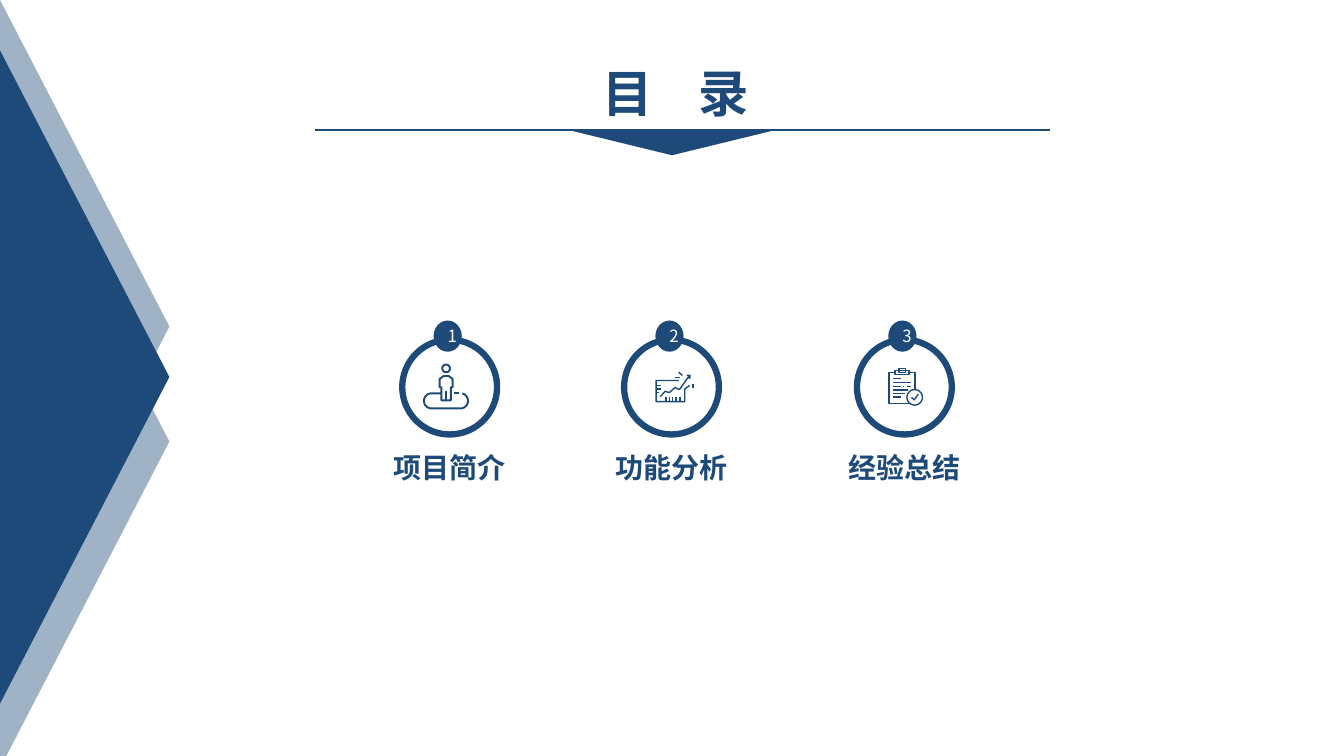
import math

from lxml import etree
from pptx import Presentation
from pptx.dml.color import RGBColor
from pptx.enum.shapes import MSO_CONNECTOR, MSO_SHAPE
from pptx.enum.text import MSO_ANCHOR, MSO_AUTO_SIZE, PP_ALIGN
from pptx.oxml.ns import qn
from pptx.util import Emu, Pt

EMU_PER_PX = 9144  # 100 px to the inch
ICON_UNIT = EMU_PER_PX / 10  # icon strokes use tenths of a px

NAVY = RGBColor(0x1E, 0x4A, 0x7A)
PALE_BLUE = RGBColor(0xA0, 0xB2, 0xC5)
WHITE = RGBColor(0xFF, 0xFF, 0xFF)
FONT = "Noto Sans CJK SC"

TRIANGLE = MSO_SHAPE.ISOSCELES_TRIANGLE
OVAL = MSO_SHAPE.OVAL
STRAIGHT = MSO_CONNECTOR.STRAIGHT
CENTER = PP_ALIGN.CENTER
MIDDLE = MSO_ANCHOR.MIDDLE
FIT_SHAPE = MSO_AUTO_SIZE.SHAPE_TO_FIT_TEXT


def px(length):
    return Emu(length * EMU_PER_PX)


def arc(x, y, radius, start=0, end=360):
    """Points along an arc, in degrees clockwise from the right."""
    steps = 24
    angles = [math.radians(start + (end - start) * i / steps) for i in range(steps + 1)]
    return [(round(x + radius * math.cos(a)), round(y + radius * math.sin(a)))
            for a in angles]


def person_strokes():
    return [
        arc(225, 45, 38),
        [(200, 120), (250, 120), (290, 150), (290, 232), (272, 232), (272, 362),
         (178, 362), (178, 232), (160, 232), (160, 150), (200, 120)],
        [(225, 270), (225, 362)],
        [(178, 292)] + arc(80, 367, 75, 270, 90) + arc(367, 367, 75, 90, -75),
        [(300, 290), (350, 290)],
    ]


def chart_strokes():
    frame = [(235, 95), (8, 95), (8, 305), (292, 305), (292, 180), (340, 145)]
    trend = [(50, 255), (97, 203), (140, 215), (195, 165), (240, 185), (338, 46)]
    arrowhead = [(310, 45), (345, 45), (340, 80)]
    side_ticks = [[(8, y), (x, y)] for x, y in ((55, 145), (55, 180), (35, 215))]
    base_ticks = [[(x, 255), (x, 305)] for x in (105, 140, 170, 207, 247)]
    sparks = [[(197, 67), (243, 67)], [(232, 12), (268, 45)], [(375, 127), (375, 167)]]
    return [frame, trend, arrowhead] + side_ticks + base_ticks + sparks


def clipboard_strokes():
    board = [(205, 45), (265, 45), (265, 215)]
    board_left = [(67, 45), (8, 45), (8, 355), (215, 355)]
    clip = [(67, 25), (205, 25), (205, 65), (67, 65), (67, 25)]
    clip_top = [(108, 8), (168, 8), (168, 45), (108, 45), (108, 8)]
    rows = [(108, 50, 130), (148, 50, 225), (182, 50, 130), (182, 150, 160),
            (182, 185, 225), (218, 50, 195), (253, 50, 165), (288, 50, 130)]
    lines = [[(start, y), (end, y)] for y, start, end in rows]
    check = [(230, 292), (257, 317), (297, 260)]
    return [board, board_left, clip, clip_top, arc(262, 292, 77), check] + lines


# label, column left, icon left and top within the column, strokes, stroke width
SECTIONS = [
    ("项目简介", 342, 78, 43, person_strokes, 1.4),
    ("功能分析", 562, 88, 50, chart_strokes, 1),
    ("经验总结", 793, 88, 47, clipboard_strokes, 1),
]


def add_span(para, text, size, color, bold=False, spacing=0):
    span = para.add_run()
    span.text = text
    span.font.name = FONT
    span.font.size = Pt(size)
    span.font.bold = bold
    span.font.color.rgb = color
    properties = span.font._element
    etree.SubElement(properties, qn("a:ea"), typeface=FONT)
    if spacing:
        properties.set("spc", str(spacing * 100))


def add_label(page, left, top, width, height):
    box = page.shapes.add_textbox(px(left), px(top), px(width), px(height))
    box.text_frame.word_wrap = True
    box.text_frame.auto_size = FIT_SHAPE
    para = box.text_frame.paragraphs[0]
    para.alignment = CENTER
    return para


def add_solid(page, kind, left, top, width, height, color, rotation=0):
    shape = page.shapes.add_shape(kind, px(left), px(top), px(width), px(height))
    shape.shadow.inherit = False
    shape.fill.solid()
    shape.fill.fore_color.rgb = color
    shape.line.fill.background()
    shape.rotation = rotation
    return shape


def outline(shape, width):
    shape.shadow.inherit = False
    shape.fill.background()
    shape.line.color.rgb = NAVY
    shape.line.width = Pt(width)


def add_icon(page, left, top, strokes, width):
    builder = page.shapes.build_freeform(*strokes[0][0], scale=ICON_UNIT)
    for index, stroke in enumerate(strokes):
        if index:
            builder.move_to(*stroke[0])
        builder.add_line_segments(stroke[1:], close=False)
    outline(builder.convert_to_shape(px(left), px(top)), width)


def add_side_arrows(page, left, top, width, height):
    """Triangles pointing right, laid on their side by a quarter turn."""
    inset = (height - width) // 2
    for drop, color in ((114, PALE_BLUE), (0, PALE_BLUE), (50, NAVY)):
        add_solid(page, TRIANGLE, left - inset, top + drop + inset,
                  height, width, color, rotation=90)


def add_heading(page, left, top, width):
    para = add_label(page, left + 246, top, 224, 71)
    add_span(para, "目 ", 36, NAVY, bold=True, spacing=12)
    add_span(para, "录", 36, NAVY, bold=True, spacing=6)
    add_solid(page, TRIANGLE, left + 248, top + 71, 213, 26, NAVY, rotation=180)
    rule = page.shapes.add_connector(
        STRAIGHT, px(left), px(top + 72), px(left + width), px(top + 72))
    rule.line.color.rgb = NAVY
    rule.line.width = Pt(2)
    etree.SubElement(rule._element.spPr, qn("a:effectLst"))


def add_section(page, left, top, width, number, section):
    label, _, icon_left, icon_top, strokes, stroke_width = section
    # Ring with its icon
    ring = page.shapes.add_shape(OVAL, px(left + 57), px(top + 19), px(94), px(94))
    outline(ring, 4.5)
    add_icon(page, left + icon_left, top + icon_top, strokes(), stroke_width)
    # Number badge
    badge = add_solid(page, OVAL, left + 88, top, 28, 31, NAVY)
    badge.text_frame.vertical_anchor = MIDDLE
    para = badge.text_frame.paragraphs[0]
    para.alignment = CENTER
    add_span(para, str(number), 12, WHITE)
    # Label
    para = add_label(page, left, top + 124, width, 44)
    add_span(para, label, 20, NAVY, bold=True)


def main():
    deck = Presentation()
    deck.slide_width, deck.slide_height = px(1333), px(750)
    page = deck.slides.add_slide(deck.slide_layouts[6])
    add_side_arrows(page, 0, 0, 168, 648)
    add_heading(page, 312, 57, 729)
    for number, section in enumerate(SECTIONS, 1):
        add_section(page, section[1], 318, 208, number, section)
    deck.save("out.pptx")


if __name__ == "__main__":
    main()
